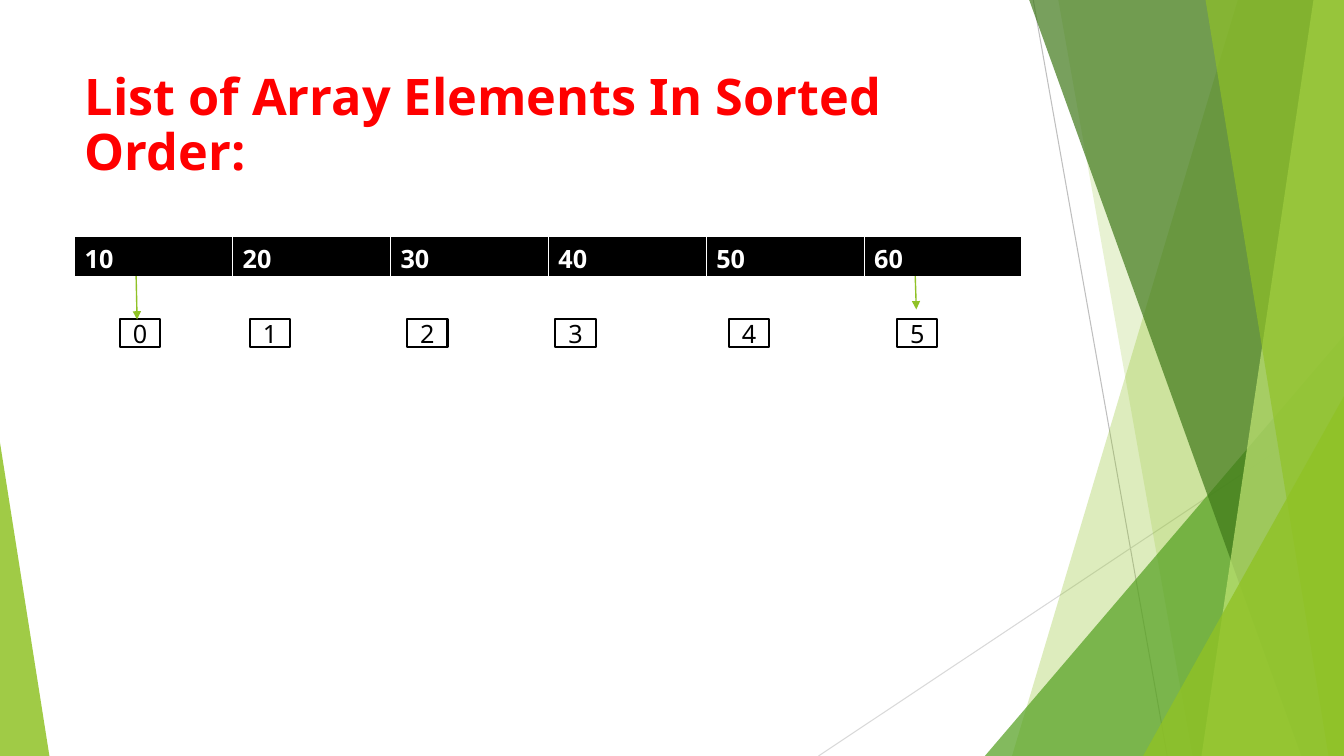
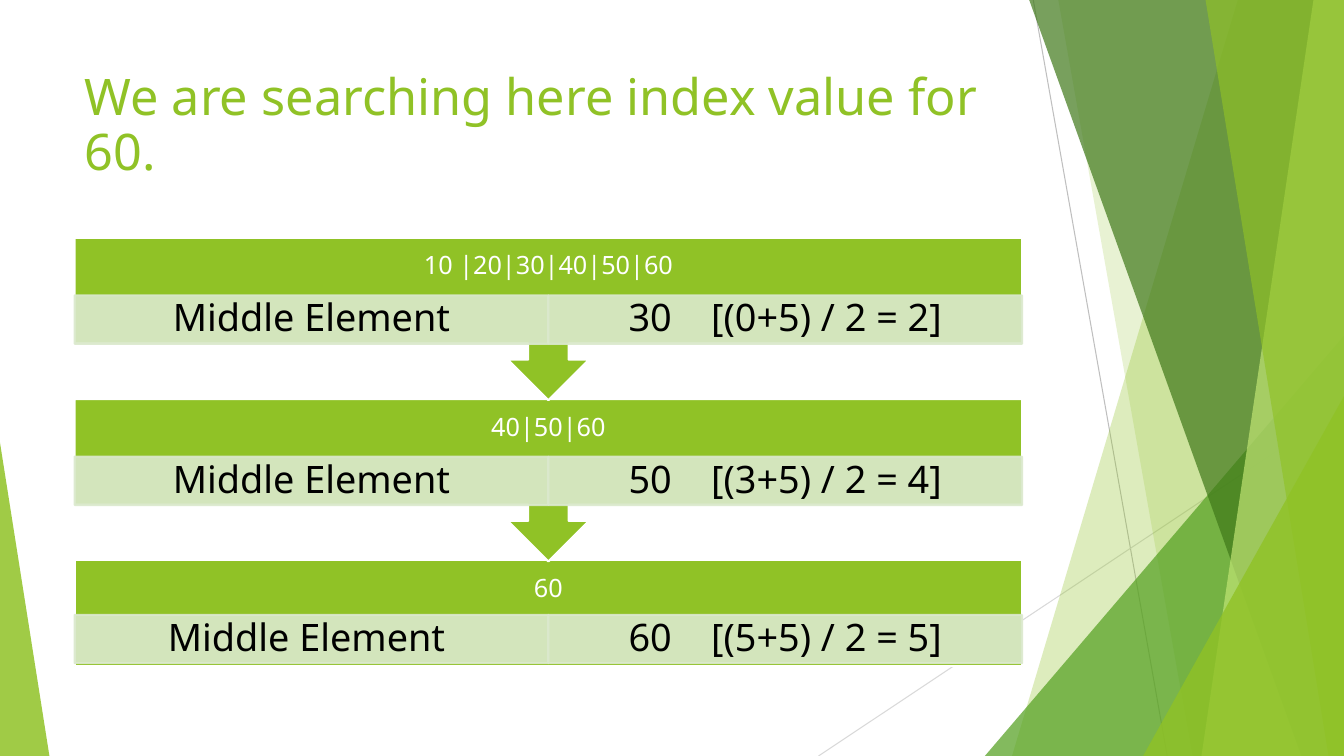
"""Build two slides that explain binary search on a sorted array."""
from lxml.etree import SubElement
from pptx import Presentation
from pptx.dml.color import RGBColor
from pptx.enum.shapes import MSO_CONNECTOR as Connector, MSO_SHAPE as Shape
from pptx.enum.text import MSO_ANCHOR as Anchor, PP_ALIGN as Align
from pptx.oxml.ns import qn
from pptx.util import Emu, Inches, Pt

WIDTH, HEIGHT = Inches(13.333), Inches(7.5)
FONT = "Noto Sans"
COLORS = {
    "lime": "90C226", "green": "54A021", "forest": "3F7819", "pale": "C0E474",
    "mint": "DBE9CD", "red": "FF0000", "white": "FFFFFF", "black": "000000",
    "gray": "BFBFBF", "silver": "D9D9D9",
}
MARGIN, CONTENT = 5.55, 70.5
VALUES = (10, 20, 30, 40, 50, 60)
INDEX_LEFTS = (8.93, 18.6, 30.3, 41.33, 54.23, 66.75)
INDEX_TOP = 42.2
STEP_TOP, STEP_PITCH, HEADER_HEIGHT = 31.47, 21.33, 7.6
STEPS = (
    ("10 |20|30|40|50|60", "Middle Element", "30", "[(0+5) / 2 = 2]"),
    ("40|50|60", "Middle Element", "50", "[(3+5) / 2 = 4]"),
    ("60", "Middle Element ", "60", "[(5+5) / 2 = 5]"),
)


def across(share):
    """Turn a percentage of the slide width into a length."""
    return Emu(round(WIDTH * share / 100))


def down(share):
    """Turn a percentage of the slide height into a length."""
    return Emu(round(HEIGHT * share / 100))


def area(left, top, width, height):
    """Turn four percentages into a position and a size."""
    return across(left), down(top), across(width), down(height)


def rgb(color):
    """Look up a named colour."""
    return RGBColor.from_string(COLORS[color])


def paint(shape, fill, line=None, opacity=100):
    """Give a shape its fill, outline and opacity, without a shadow."""
    shape.shadow.inherit = False
    shape.fill.solid()
    shape.fill.fore_color.rgb = rgb(fill)
    if line:
        shape.line.color.rgb = rgb(line)
        shape.line.width = Pt(1.5)
    else:
        shape.line.fill.background()
    if opacity < 100:
        for tint in shape._element.spPr.iter(qn("a:srgbClr")):
            SubElement(tint, qn("a:alpha"), val=str(opacity * 1000))


def add_run(paragraph, words, size, color, bold=False):
    """Append one styled run to a paragraph."""
    run = paragraph.add_run()
    run.text = words
    run.font.name, run.font.size, run.font.bold = FONT, Pt(size), bold
    run.font.color.rgb = rgb(color)
    return run


def center(frame, inset_x=0.1, inset_y=0.05, spacing=None):
    """Centre a text frame both ways and return its first paragraph."""
    frame.word_wrap = True
    frame.vertical_anchor = Anchor.MIDDLE
    frame.margin_left = frame.margin_right = Inches(inset_x)
    frame.margin_top = frame.margin_bottom = Inches(inset_y)
    paragraph = frame.paragraphs[0]
    paragraph.alignment = Align.CENTER
    paragraph.line_spacing = spacing
    return paragraph


def add_line(slide, start, end, color, weight, arrow=False):
    """Draw a straight line, with an arrowhead at its end if asked."""
    line = slide.shapes.add_connector(
        Connector.STRAIGHT, across(start[0]), down(start[1]),
        across(end[0]), down(end[1]))
    line.line.color.rgb = rgb(color)
    line.line.width = Pt(weight)
    if arrow:
        SubElement(line.line._get_or_add_ln(), qn("a:tailEnd"), type="triangle")
    SubElement(line._element.spPr, qn("a:effectLst"))


def add_band(slide, top_left, bottom_left, color, opacity):
    """Draw a full-height band that runs to the right edge."""
    outline = slide.shapes.build_freeform(across(top_left), 0)
    outline.add_line_segments(
        [(WIDTH, 0), (WIDTH, HEIGHT), (across(bottom_left), HEIGHT)], close=True)
    paint(outline.convert_to_shape(), color, opacity=opacity)


def add_corner(slide, left, top, width, apex, color, opacity):
    """Draw a triangle that stands on the bottom edge."""
    corner = slide.shapes.add_shape(
        Shape.ISOSCELES_TRIANGLE, *area(left, top, width, 100 - top))
    corner.adjustments[0] = apex
    paint(corner, color, opacity=opacity)


def add_backdrop(slide):
    """Draw the facets that every slide shares."""
    add_line(slide, (76.88, 0), (86.85, 100), "gray", 0.75)
    add_line(slide, (100, 53.73), (60.9, 100), "silver", 0.75)
    add_band(slide, 92.1, 75.3, "lime", 30)
    add_band(slide, 78.75, 88.73, "lime", 20)
    add_corner(slide, 73.28, 44.4, 26.72, 1, "green", 72)
    add_band(slide, 76.58, 96.83, "forest", 70)
    add_band(slide, 97.73, 89.4, "pale", 70)
    add_band(slide, 89.7, 98.85, "lime", 65)
    add_corner(slide, 85.05, 52.4, 14.95, 1, "lime", 80)
    add_corner(slide, 0, 58.53, 3.68, 0, "lime", 85)


def add_titled_slide(deck, title, color, bold=False):
    """Add a slide with the shared backdrop and a title."""
    slide = deck.slides.add_slide(deck.slide_layouts[6])
    add_backdrop(slide)
    frame = slide.shapes.add_textbox(*area(MARGIN, 8.93, CONTENT, 19.2)).text_frame
    frame.word_wrap = True
    heading = frame.paragraphs[0]
    heading.line_spacing = 0.9
    add_run(heading, title, 36, color, bold)
    return slide


def add_borders(cell):
    """Outline a cell in white, with a heavier bottom edge."""
    properties = cell._tc.get_or_add_tcPr()
    for position, (side, weight) in enumerate(
            (("lnL", 1), ("lnR", 1), ("lnT", 1), ("lnB", 3))):
        edge = properties.makeelement(qn(f"a:{side}"), {"w": str(Pt(weight))})
        solid = SubElement(edge, qn("a:solidFill"))
        SubElement(solid, qn("a:srgbClr"), val=COLORS["white"])
        properties.insert(position, edge)


def add_array(slide, values):
    """Show the array as a table of one row."""
    array = slide.shapes.add_table(
        1, len(values), *area(MARGIN, 31.33, CONTENT, 5.47)).table
    for column, value in enumerate(values):
        array.columns[column].width = across(CONTENT / len(values))
        cell = array.cell(0, column)
        cell.fill.solid()
        cell.fill.fore_color.rgb = rgb("black")
        add_borders(cell)
        add_run(cell.text_frame.paragraphs[0], str(value), 18, "white", True)


def add_index(slide, left, index):
    """Show one array index in a small box."""
    box = slide.shapes.add_shape(Shape.RECTANGLE, *area(left, INDEX_TOP, 3, 3.73))
    paint(box, "white", "black")
    add_run(center(box.text_frame), str(index), 18, "black")


def add_detail(slide, left, top, *parts):
    """Show a pale half-width box, its parts set apart by a wide gap."""
    box = slide.shapes.add_shape(
        Shape.RECTANGLE, *area(left, top, CONTENT / 2, 6.4))
    paint(box, "mint", "mint", 90)
    paragraph = center(box.text_frame, 0.21, 0.04, 0.9)
    for position, part in enumerate(parts):
        if position:
            gap = add_run(paragraph, " ", 27, "black")
            gap.font._element.set("spc", "2100")
        add_run(paragraph, part, 27, "black")


def add_step(slide, number, remaining, label, middle, formula):
    """Show one search step: remaining elements, middle element and formula."""
    top = STEP_TOP + number * STEP_PITCH
    last = number == len(STEPS) - 1
    if last:
        block = slide.shapes.add_shape(
            Shape.RECTANGLE, *area(MARGIN, top, CONTENT, 14))
    else:
        block = slide.shapes.add_shape(
            Shape.UP_ARROW_CALLOUT, *area(MARGIN, top, CONTENT, 21.47))
        block.rotation = 180
    paint(block, "lime", "white")
    header = slide.shapes.add_textbox(*area(MARGIN, top, CONTENT, HEADER_HEIGHT))
    add_run(center(header.text_frame, 0.14, 0.14, 0.9), remaining, 18, "white")
    detail_top = top + (7.2 if last else HEADER_HEIGHT)
    add_detail(slide, MARGIN, detail_top, label)
    add_detail(slide, MARGIN + CONTENT / 2, detail_top, middle, formula)


def main():
    """Build and save the deck."""
    deck = Presentation()
    deck.slide_width, deck.slide_height = WIDTH, HEIGHT

    sorted_list = add_titled_slide(
        deck, "List of Array Elements In Sorted Order: ", "red", bold=True)
    add_array(sorted_list, VALUES)
    for index, left in enumerate(INDEX_LEFTS):
        add_index(sorted_list, left, index)
    add_line(sorted_list, (10.13, 36.53), (10.2, 42.27), "lime", 1, arrow=True)
    add_line(sorted_list, (68.1, 36.53), (68.18, 40.93), "lime", 1, arrow=True)

    search = add_titled_slide(
        deck, "We are searching here index value for 60.", "lime")
    for number, step in reversed(list(enumerate(STEPS))):
        add_step(search, number, *step)

    deck.save("out.pptx")


main()
